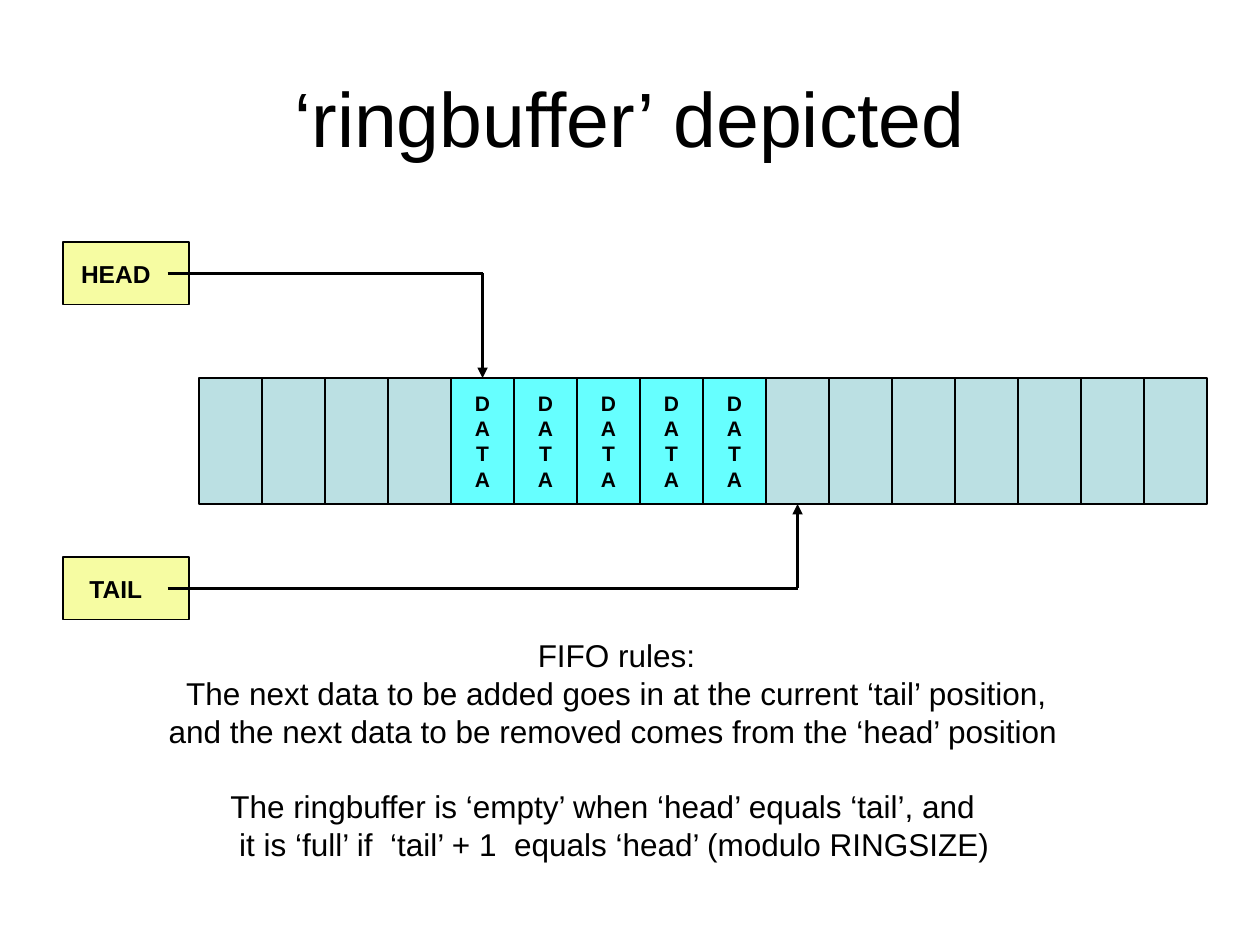
from dataclasses import dataclass

from lxml import etree
from pptx import Presentation
from pptx.dml.color import RGBColor
from pptx.enum import shapes, text
from pptx.oxml import ns
from pptx.util import Inches, Pt

BLACK = "000000"
FREE, FILLED, LABEL = "BBE0E3", "66FFFF", "F6FCA2"

RING_SIZE, HEAD_INDEX, TAIL_INDEX = 16, 4, 9
RING_LEFT, RING_TOP = 1.58, 3
CELL_WIDTH, CELL_HEIGHT = 0.5, 1
LABEL_LEFT, LABEL_WIDTH, LABEL_HEIGHT = 0.5, 1, 0.5
POINTER_START = 1.33
LINE_RATIO = 1.2


@dataclass
class Pointer:
    name: str
    top: float
    index: int
    side: int  # connection site of the cell: 0 top, 2 bottom


@dataclass
class Rule:
    wording: str
    indent: float
    gap_lines: int = 0


POINTERS = [
    Pointer("HEAD", 1.92, HEAD_INDEX, 0),
    Pointer("TAIL", 4.42, TAIL_INDEX, 2),
]

RULES = [
    Rule("FIFO rules:", 3),
    Rule("The next data to be added goes in at the current ‘tail’ position,", 0.21),
    Rule("and the next data to be removed comes from the ‘head’ position", 0.07),
    Rule("The ringbuffer is ‘empty’ when ‘head’ equals ‘tail’, and", 0.56, gap_lines=1),
    Rule("it is ‘full’ if  ‘tail’ + 1  equals ‘head’ (modulo RINGSIZE)", 0.63),
]


def rgb(value: str) -> RGBColor:
    return RGBColor.from_string(value)


def add_line(paragraph, wording: str, size: float, bold: bool = False,
             align=text.PP_ALIGN.CENTER) -> None:
    """Write one run into a paragraph with the common type style."""
    paragraph.alignment = align
    paragraph.line_spacing = Pt(size * LINE_RATIO)
    run = paragraph.add_run()
    run.text = wording
    run.font.name = "Arial"
    run.font.size = Pt(size)
    run.font.bold = bold
    run.font.color.rgb = rgb(BLACK)


def next_paragraph(frame, position: int):
    return frame.paragraphs[0] if position == 0 else frame.add_paragraph()


def add_box(slide, left: float, top: float, width: float, height: float, fill: str):
    box = slide.shapes.add_shape(
        shapes.MSO_SHAPE.RECTANGLE,
        Inches(left), Inches(top), Inches(width), Inches(height))
    box.shadow.inherit = False
    box.fill.solid()
    box.fill.fore_color.rgb = rgb(fill)
    box.line.color.rgb = rgb(BLACK)
    box.line.width = Pt(0.75)
    box.text_frame.word_wrap = False
    box.text_frame.vertical_anchor = text.MSO_ANCHOR.MIDDLE
    return box


def add_segment(slide, start: tuple[float, float], end: tuple[float, float],
                arrow: bool = False):
    segment = slide.shapes.add_connector(
        shapes.MSO_CONNECTOR.STRAIGHT, *map(Inches, start + end))
    segment.line.color.rgb = rgb(BLACK)
    segment.line.width = Pt(1.5)
    if arrow:
        etree.SubElement(segment.line._get_or_add_ln(), ns.qn("a:tailEnd"), type="triangle")
    etree.SubElement(segment._element.spPr, ns.qn("a:effectLst"))
    return segment


def add_title(slide) -> None:
    title = slide.shapes.add_textbox(Inches(0.5), Inches(0.3), Inches(9), Inches(1.25))
    frame = title.text_frame
    frame.word_wrap = True
    frame.vertical_anchor = text.MSO_ANCHOR.MIDDLE
    add_line(frame.paragraphs[0], "‘ringbuffer’ depicted", 44)


def add_ring(slide) -> list:
    """Draw the buffer cells; those from head up to tail hold data."""
    cells = []
    for index in range(RING_SIZE):
        used = HEAD_INDEX <= index < TAIL_INDEX
        cell = add_box(slide, RING_LEFT + index * CELL_WIDTH, RING_TOP,
                       CELL_WIDTH, CELL_HEIGHT, FILLED if used else FREE)
        if used:
            for position, letter in enumerate("DATA"):
                add_line(next_paragraph(cell.text_frame, position), letter, 12, bold=True)
        cells.append(cell)
    return cells


def add_pointer(slide, pointer: Pointer, cells: list) -> None:
    label = add_box(slide, LABEL_LEFT, pointer.top, LABEL_WIDTH, LABEL_HEIGHT, LABEL)
    label.text_frame.margin_right = Inches(0.26)
    add_line(label.text_frame.paragraphs[0], pointer.name, 14, bold=True)

    middle = pointer.top + LABEL_HEIGHT / 2
    target_x = RING_LEFT + (pointer.index + 0.5) * CELL_WIDTH
    target_y = RING_TOP if pointer.side == 0 else RING_TOP + CELL_HEIGHT
    add_segment(slide, (POINTER_START, middle), (target_x, middle))
    arrow = add_segment(slide, (target_x, middle), (target_x, target_y), arrow=True)
    arrow.end_connect(cells[pointer.index], pointer.side)


def add_rules(slide) -> None:
    size = 18
    box = slide.shapes.add_textbox(Inches(1.17), Inches(5), Inches(7.33), Inches(2.2))
    frame = box.text_frame
    frame.word_wrap = False
    for position, rule in enumerate(RULES):
        paragraph = next_paragraph(frame, position)
        add_line(paragraph, rule.wording, size, align=text.PP_ALIGN.LEFT)
        paragraph.space_before = Pt(rule.gap_lines * size * LINE_RATIO)
        paragraph._p.get_or_add_pPr().set("marL", str(Inches(rule.indent)))


def main() -> None:
    deck = Presentation()
    deck.slide_width, deck.slide_height = Inches(10), Inches(7.5)
    slide = deck.slides.add_slide(deck.slide_layouts[6])
    add_title(slide)
    cells = add_ring(slide)
    for pointer in POINTERS:
        add_pointer(slide, pointer, cells)
    add_rules(slide)
    deck.save("out.pptx")


if __name__ == "__main__":
    main()
